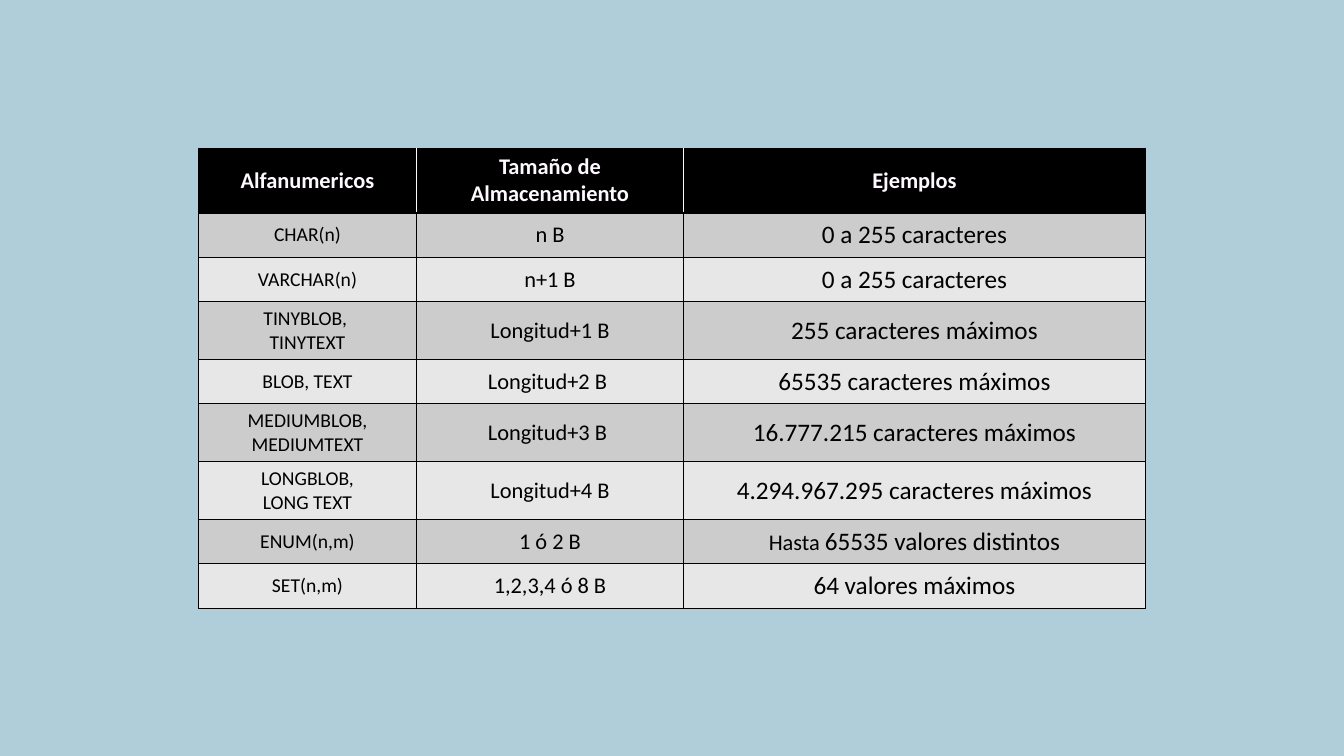
from lxml import etree
from pptx import Presentation
from pptx.dml.color import RGBColor
from pptx.enum.text import MSO_ANCHOR, PP_ALIGN
from pptx.oxml.ns import qn
from pptx.util import Inches, Pt

CENTER = PP_ALIGN.CENTER
TOP, MIDDLE = MSO_ANCHOR.TOP, MSO_ANCHOR.MIDDLE

BACKGROUND = RGBColor(0xB0, 0xCE, 0xDA)
BLACK = RGBColor(0x00, 0x00, 0x00)
OFF_WHITE = RGBColor(0xFD, 0xF9, 0xFF)
BANDS = (RGBColor(0xCC, 0xCC, 0xCC), RGBColor(0xE7, 0xE7, 0xE7))

FONT = "Calibri"
HEADER_SIZE = 16
COLUMN_SIZES = (14, 16, 18)
COLUMN_WIDTHS = (2.16, 2.65, 4.58)
ROW_HEIGHT = 0.44

HEADERS = ("Alfanumericos", "Tamaño de Almacenamiento", "Ejemplos")
# A newline separates paragraphs; a tuple lists (text, size) runs.
TYPES = (
    ("CHAR(n)", "n B", "0 a 255 caracteres"),
    ("VARCHAR(n)", "n+1 B", "0 a 255 caracteres"),
    ("TINYBLOB, \nTINYTEXT", "Longitud+1 B", "255 caracteres máximos"),
    ("BLOB, TEXT", "Longitud+2 B ", "65535 caracteres máximos"),
    ("MEDIUMBLOB,\nMEDIUMTEXT", "Longitud+3 B ", "16.777.215 caracteres máximos"),
    ("LONGBLOB,\nLONG TEXT", "Longitud+4 B", "4.294.967.295 caracteres máximos"),
    ("ENUM(n,m)", "1 ó 2 B", (("Hasta ", 16), ("65535 valores distintos", 18))),
    ("SET(n,m)", "1,2,3,4 ó 8 B", "64 valores máximos"),
)


class SlideBuilder:
    def __init__(self, prs):
        self.s = prs.slides.add_slide(prs.slide_layouts[6])
        self.font = FONT

    def background(self, color):
        fill = self.s.background.fill
        fill.solid()
        fill.fore_color.rgb = color

    def table(self, left, top, widths, row_count):
        frame = self.s.shapes.add_table(
            row_count, len(widths), Inches(left), Inches(top),
            Inches(sum(widths)), Inches(ROW_HEIGHT * row_count))
        for column, width in zip(frame.table.columns, widths):
            column.width = Inches(width)
        for row in frame.table.rows:
            row.height = Inches(ROW_HEIGHT)
        return frame.table

    def cell(self, cell, content, size, color, fill, bold=False, anchor=MIDDLE):
        cell.fill.solid()
        cell.fill.fore_color.rgb = fill
        cell.vertical_anchor = anchor
        tf = cell.text_frame
        if isinstance(content, str):
            tf.text = content
        else:
            for text, run_size in content:
                r = tf.paragraphs[0].add_run()
                r.text = text
                r.font.size = Pt(run_size)
        for p in tf.paragraphs:
            p.alignment = CENTER
            p.font.name = self.font
            p.font.size = Pt(size)
            p.font.bold = bold
            p.font.color.rgb = color

    def borders(self, cell, left=BLACK, right=BLACK, top=BLACK, bottom=BLACK):
        """Draw 1 pt cell borders; the lines must precede the cell's fill."""
        tcPr = cell._tc.get_or_add_tcPr()
        sides = (("L", left), ("R", right), ("T", top), ("B", bottom))
        for i, (side, color) in enumerate(sides):
            ln = etree.Element(qn(f"a:ln{side}"), w=str(Pt(1)))
            solid = etree.SubElement(ln, qn("a:solidFill"))
            etree.SubElement(solid, qn("a:srgbClr"), val=str(color))
            tcPr.insert(i, ln)


def main():
    prs = Presentation()
    prs.slide_width, prs.slide_height = Inches(13.33), Inches(7.5)
    slide = SlideBuilder(prs)
    slide.background(BACKGROUND)

    table = slide.table(1.97, 1.47, COLUMN_WIDTHS, len(TYPES) + 1)
    last = len(HEADERS) - 1
    for j, header in enumerate(HEADERS):
        cell = table.cell(0, j)
        slide.cell(cell, header, HEADER_SIZE, OFF_WHITE, BLACK, bold=True,
                   anchor=TOP if j == 1 else MIDDLE)
        slide.borders(cell, left=OFF_WHITE if j > 0 else BLACK,
                      right=OFF_WHITE if j < last else BLACK)

    for i, row in enumerate(TYPES):
        for j, content in enumerate(row):
            cell = table.cell(i + 1, j)
            slide.cell(cell, content, COLUMN_SIZES[j], BLACK, BANDS[i % 2])
            slide.borders(cell)

    prs.save("out.pptx")


if __name__ == "__main__":
    main()
